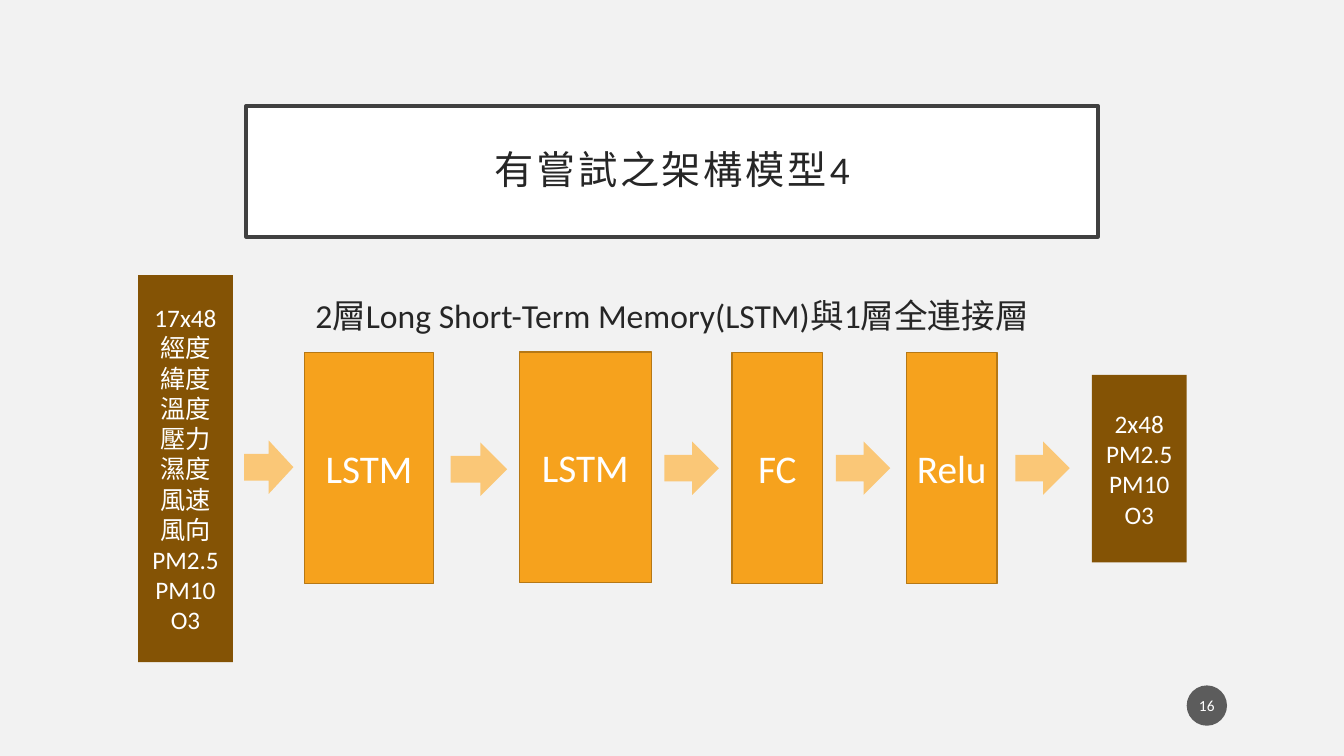
from lxml.etree import SubElement
from pptx import Presentation
from pptx.dml.color import RGBColor
from pptx.enum.shapes import MSO_SHAPE
from pptx.enum.text import MSO_ANCHOR, PP_ALIGN
from pptx.oxml.ns import qn
from pptx.util import Inches, Pt

FONT = "Calibri"
COLORS = {
    "background": "F2F2F2", "panel": "FFFFFF", "frame": "404040",
    "ink": "262626", "light": "FFFFFF", "badge": "1D1D1D",
    "layer": "F6A21D", "layer_edge": "B67815", "data": "845305", "arrow": "FAC777",
}

TITLE = "有嘗試之架構模型4"
CAPTION = "2層Long Short-Term Memory(LSTM)與1層全連接層"
PAGE = "16"

# Lines of text, (left, top, width, height)
DATA_BLOCKS = [
    (["17x48", "經度", "緯度", "溫度", "壓力", "濕度", "風速", "風向", "PM2.5", "PM10O3"],
     (1.37, 2.73, 0.94, 3.84)),
    (["2x48", "PM2.5", "PM10", "O3"], (10.83, 3.72, 0.94, 1.86)),
]
# Name, left, top, width
LAYERS = [("LSTM", 3.02, 3.5, 1.28), ("LSTM", 5.15, 3.49, 1.31),
          ("FC", 7.26, 3.5, 0.9), ("Relu", 8.99, 3.5, 0.9)]
LAYER_HEIGHT = 2.29
# Left, top, width
ARROWS = [(2.42, 4.37, 0.49), (4.47, 4.39, 0.56), (6.59, 4.38, 0.54),
          (8.29, 4.38, 0.54), (10.07, 4.38, 0.54)]
ARROW_HEIGHT = 0.53


def color(name):
    return RGBColor.from_string(COLORS[name])


def write(shape, lines, size, ink="light"):
    frame = shape.text_frame
    frame.word_wrap = True
    frame.text = "\n".join(lines)
    for paragraph in frame.paragraphs:
        paragraph.alignment = PP_ALIGN.CENTER
        paragraph.font.name = FONT
        paragraph.font.size = Pt(size)
        paragraph.font.color.rgb = color(ink)
    return frame


def add_block(slide, kind, box, fill, edge=None, edge_width=1):
    block = slide.shapes.add_shape(kind, *map(Inches, box))
    block.shadow.inherit = False
    block.fill.solid()
    block.fill.fore_color.rgb = color(fill)
    if edge:
        block.line.color.rgb = color(edge)
        block.line.width = Pt(edge_width)
    else:
        block.line.fill.background()
    block.text_frame.vertical_anchor = MSO_ANCHOR.MIDDLE
    return block


def add_title(slide):
    panel = add_block(slide, MSO_SHAPE.RECTANGLE, (2.44, 1.05, 8.45, 1.3),
                      "panel", "frame", 2.5)
    frame = write(panel, [TITLE], 28, "ink")
    frame.margin_left = frame.margin_right = Inches(0.2)
    frame.margin_top = frame.margin_bottom = Inches(0.2)
    heading = frame.paragraphs[0]
    heading.line_spacing = 0.9
    heading.runs[0].font._element.set("spc", "200")


def add_page_badge(slide):
    badge = add_block(slide, MSO_SHAPE.OVAL, (11.77, 6.8, 0.4, 0.4), "badge")
    tint = badge.fill._xPr.find(qn("a:solidFill"))[0]
    SubElement(tint, qn("a:alpha"), val="70000")
    frame = write(badge, [PAGE], 11)
    frame.margin_left = frame.margin_right = Inches(0.02)


def add_caption(slide):
    caption = slide.shapes.add_textbox(*map(Inches, (2.44, 2.88, 8.45, 3.39)))
    frame = write(caption, [CAPTION], 24, "ink")
    frame.paragraphs[0].space_before = Pt(10)


def main():
    deck = Presentation()
    deck.slide_width, deck.slide_height = Inches(13.33), Inches(7.5)
    slide = deck.slides.add_slide(deck.slide_layouts[6])
    slide.background.fill.solid()
    slide.background.fill.fore_color.rgb = color("background")

    add_title(slide)
    add_page_badge(slide)
    add_caption(slide)
    for lines, box in DATA_BLOCKS:
        write(add_block(slide, MSO_SHAPE.RECTANGLE, box, "data"), lines, 18)
    for name, left, top, width in LAYERS:
        layer = add_block(slide, MSO_SHAPE.RECTANGLE, (left, top, width, LAYER_HEIGHT),
                          "layer", "layer_edge")
        write(layer, [name], 28)
    for left, top, width in ARROWS:
        add_block(slide, MSO_SHAPE.RIGHT_ARROW, (left, top, width, ARROW_HEIGHT), "arrow")

    deck.save("out.pptx")


if __name__ == "__main__":
    main()
